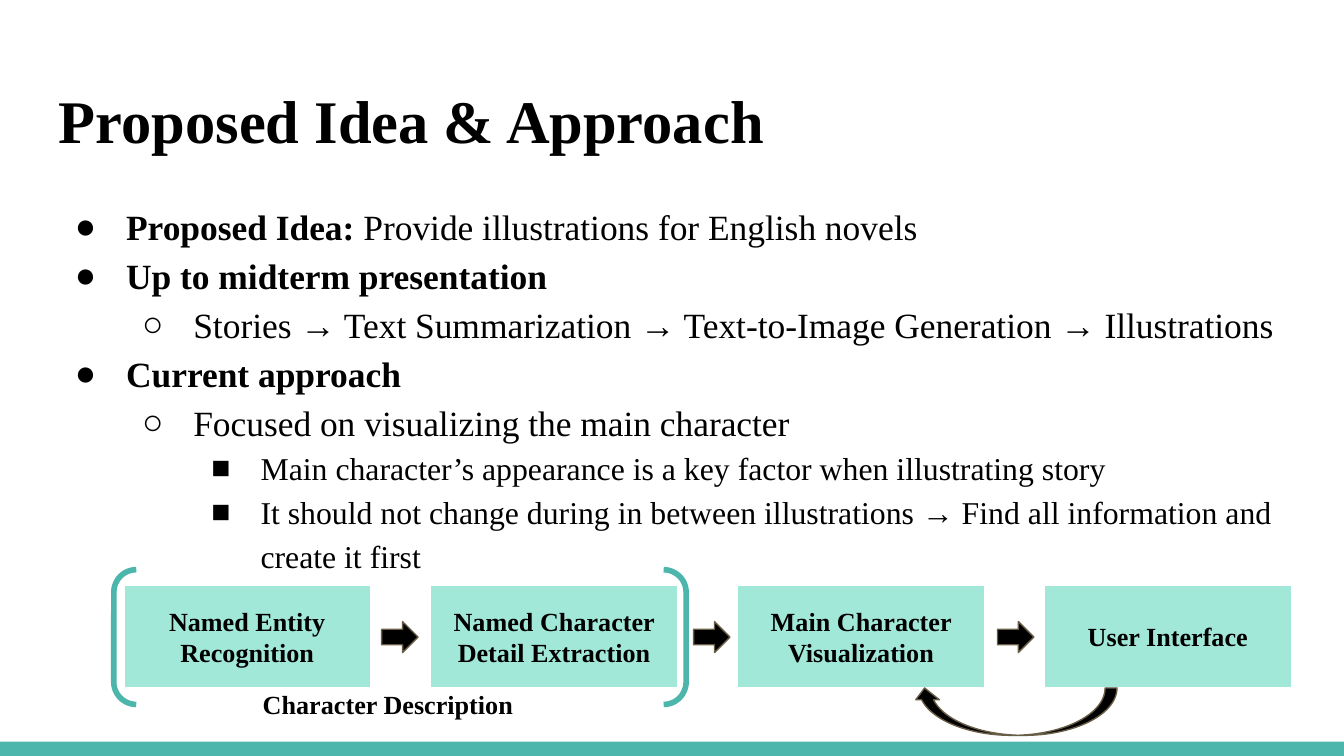
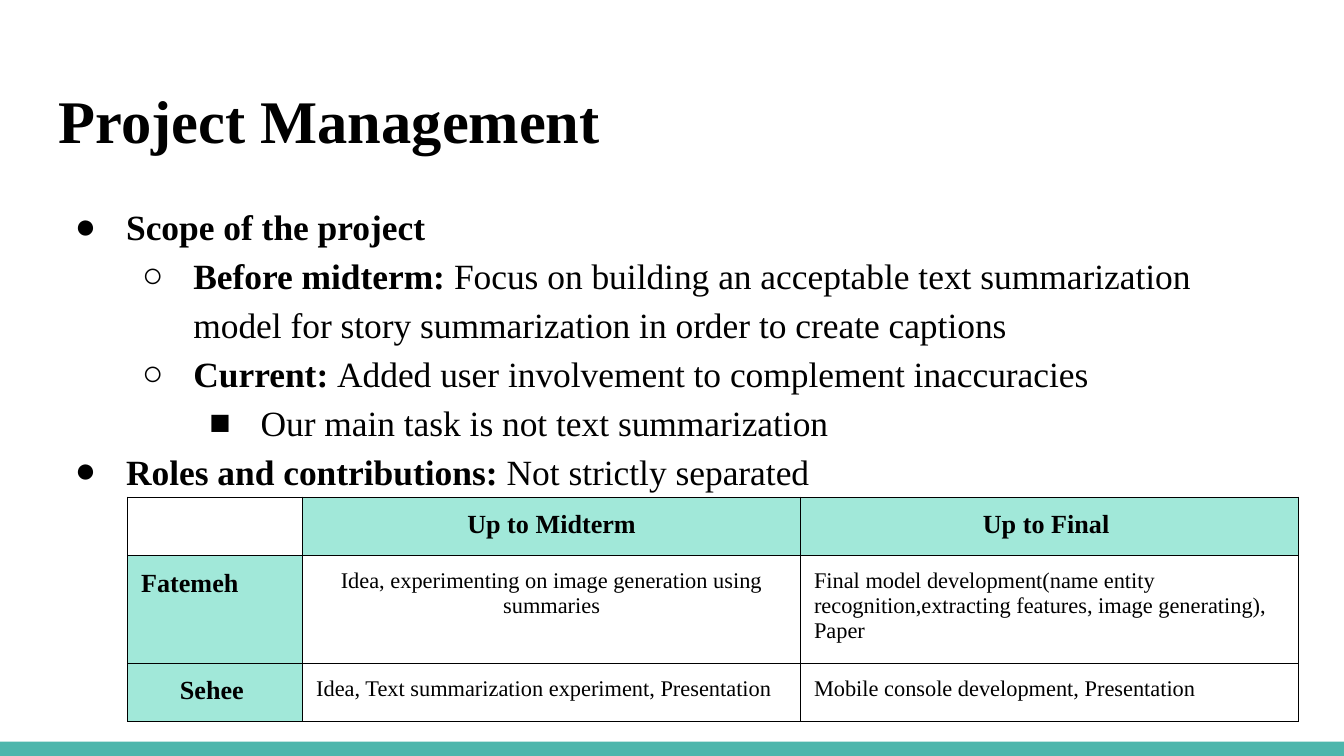
from lxml import etree
from pptx import Presentation
from pptx.dml.color import RGBColor
from pptx.enum.shapes import MSO_SHAPE
from pptx.enum.text import MSO_ANCHOR, PP_ALIGN
from pptx.oxml.ns import qn
from pptx.util import Pt

RECT, ARROW = MSO_SHAPE.RECTANGLE, MSO_SHAPE.RIGHT_ARROW
BRACKET, CURVE = MSO_SHAPE.DOUBLE_BRACKET, MSO_SHAPE.CURVED_UP_ARROW
LEFT, CENTER = PP_ALIGN.LEFT, PP_ALIGN.CENTER
TOP, MIDDLE, BOTTOM = MSO_ANCHOR.TOP, MSO_ANCHOR.MIDDLE, MSO_ANCHOR.BOTTOM

FONT = "Times New Roman"
HEX = {"ink": "000000", "teal": "4DB6AC", "mint": "A1E8D9",
       "edge": "695D46", "white": "FFFFFF"}
PAD = 7.2
BULLETS = "●○■"

# Content: outline rows are (level, size, bold part, plain part)
IDEA = "Proposed Idea & Approach", [
    (0, 19, "Proposed Idea: ", "Provide illustrations for English novels"),
    (0, 19, "Up to midterm presentation", ""),
    (1, 19, "", "Stories → Text Summarization → Text-to-Image Generation → Illustrations"),
    (0, 19, "Current approach", ""),
    (1, 19, "", "Focused on visualizing the main character"),
    (2, 17, "", "Main character’s appearance is a key factor when illustrating story"),
    (2, 17, "", "It should not change during in between illustrations → "
                "Find all information and create it first"),
]
PLAN = "Project Management", [
    (0, 19, "Scope of the project", ""),
    (1, 19, "Before midterm:", " Focus on building an acceptable text summarization "
                               "model for story summarization in order to create captions"),
    (1, 19, "Current: ", "Added user involvement to complement inaccuracies"),
    (2, 19, "", "Our main task is not text summarization"),
    (0, 19, "Roles and contributions: ", "Not strictly separated"),
]
STEPS = ["Named Entity Recognition", "Named Character Detail Extraction",
         "Main Character Visualization", "User Interface"]
GROUP = "Character Description "
ROLES = [
    [("", LEFT), ("Up to Midterm", CENTER), ("Up to Final ", CENTER)],
    [("Fatemeh", LEFT),
     ("Idea, experimenting on image generation using summaries", CENTER),
     ("Final model development(name entity recognition,extracting features, "
      "image generating), Paper", LEFT)],
    [("Sehee ", CENTER),
     ("Idea, Text summarization experiment, Presentation", LEFT),
     ("Mobile console development, Presentation", LEFT)],
]

# Flow geometry
BOX_X, BOX_Y, BOX_W, BOX_H, STEP = 66.4, 313.4, 132.2, 55.2, 164.4
ARROW_X = [204.5, 371.6, 534.4]


def tint(name):
    return RGBColor.from_string(HEX[name])


def style(run, size, bold):
    font = run.font
    font.name, font.size, font.bold = FONT, Pt(size), bold
    font.color.rgb = tint("ink")


def setup(frame, anchor):
    frame.word_wrap = True
    frame.vertical_anchor = anchor
    frame.margin_left = frame.margin_right = Pt(PAD)
    frame.margin_top = frame.margin_bottom = Pt(PAD)


def write(frame, text, size, bold=True, align=LEFT):
    frame.text = text
    para = frame.paragraphs[0]
    para.alignment = align
    for run in para.runs:
        style(run, size, bold)
    return para


def textbox(slide, area, anchor=TOP):
    frame = slide.shapes.add_textbox(*map(Pt, area)).text_frame
    setup(frame, anchor)
    return frame


def shape(slide, kind, area, fill=None, line=None, width=0.75):
    item = slide.shapes.add_shape(kind, *map(Pt, area))
    item.shadow.inherit = False
    if fill:
        item.fill.solid()
        item.fill.fore_color.rgb = tint(fill)
    else:
        item.fill.background()
    if line:
        item.line.color.rgb = tint(line)
        item.line.width = Pt(width)
    else:
        item.line.fill.background()
    return item


def outline(frame, rows):
    for i, (level, size, bold, plain) in enumerate(rows):
        para = frame.add_paragraph() if i else frame.paragraphs[0]
        para.level, para.line_spacing = level, 1.15
        for part, heavy in ((bold, True), (plain, False)):
            if part:
                run = para.add_run()
                run.text = part
                style(run, size, heavy)
        props = para._p.get_or_add_pPr()
        props.set("marL", str(Pt(36 * (level + 1))))
        props.set("indent", str(-Pt(27.4 if size == 19 else 26.4)))
        color = etree.SubElement(props, qn("a:buClr"))
        etree.SubElement(color, qn("a:srgbClr"), val=HEX["ink"])
        etree.SubElement(props, qn("a:buFont"), typeface=FONT)
        etree.SubElement(props, qn("a:buChar"), char=BULLETS[level])


def page(deck, title, rows):
    slide = deck.slides.add_slide(deck.slide_layouts[6])
    shape(slide, RECT, (0, 397.4, 720, 7.6), "teal")
    write(textbox(slide, (24.5, 35, 671, 55.4), BOTTOM), title, 32.4)
    outline(textbox(slide, (24.5, 99.4, 671, 260)), rows)
    return slide


def flow(slide):
    for i, name in enumerate(STEPS):
        area = BOX_X + i * STEP, BOX_Y, BOX_W, BOX_H
        frame = shape(slide, RECT, area, "mint", "white").text_frame
        setup(frame, MIDDLE)
        write(frame, name, 14, align=CENTER)
    for x in ARROW_X:
        shape(slide, ARROW, (x, 333, 19.5, 16.6), "ink", "edge")
    shape(slide, BRACKET, (61, 305.2, 306.6, 72.2), line="teal", width=3)
    write(textbox(slide, (88.6, 361.4, 242, 31.6)), GROUP, 14, align=CENTER)
    back = shape(slide, CURVE, (489, 368.6, 109.4, 25.4), "ink", "edge")
    back._element.spPr.xfrm.set("flipH", "1")


def border(cell):
    props = cell._tc.get_or_add_tcPr()
    for side in ("lnL", "lnR", "lnT", "lnB"):
        line = etree.SubElement(props, qn("a:" + side), w=str(Pt(0.75)))
        fill = etree.SubElement(line, qn("a:solidFill"))
        etree.SubElement(fill, qn("a:srgbClr"), val=HEX["ink"])


def roles(slide):
    widths, heights = [93.8, 266.7, 266.7], [30, 54, 30]
    area = 68.4, 266.4, sum(widths), sum(heights)
    table = slide.shapes.add_table(3, 3, *map(Pt, area)).table
    table.first_row = table.horz_banding = False
    for col, width in zip(table.columns, widths):
        col.width = Pt(width)
    for row, height in zip(table.rows, heights):
        row.height = Pt(height)
    for r, row in enumerate(ROLES):
        for c, (text, align) in enumerate(row):
            cell, head = table.cell(r, c), r == 0 or c == 0
            size = 14 if head else 12
            border(cell)
            if head and text:
                cell.fill.solid()
                cell.fill.fore_color.rgb = tint("mint")
            else:
                cell.fill.background()
            cell.margin_left = cell.margin_right = Pt(PAD)
            cell.margin_top = cell.margin_bottom = Pt(PAD)
            para = write(cell.text_frame, text, size, head, align)
            if not text:
                para._p.get_or_add_endParaRPr().set("sz", str(size * 100))


def main():
    deck = Presentation()
    deck.slide_width, deck.slide_height = Pt(720), Pt(405)
    flow(page(deck, *IDEA))
    roles(page(deck, *PLAN))
    deck.save("out.pptx")


if __name__ == "__main__":
    main()
